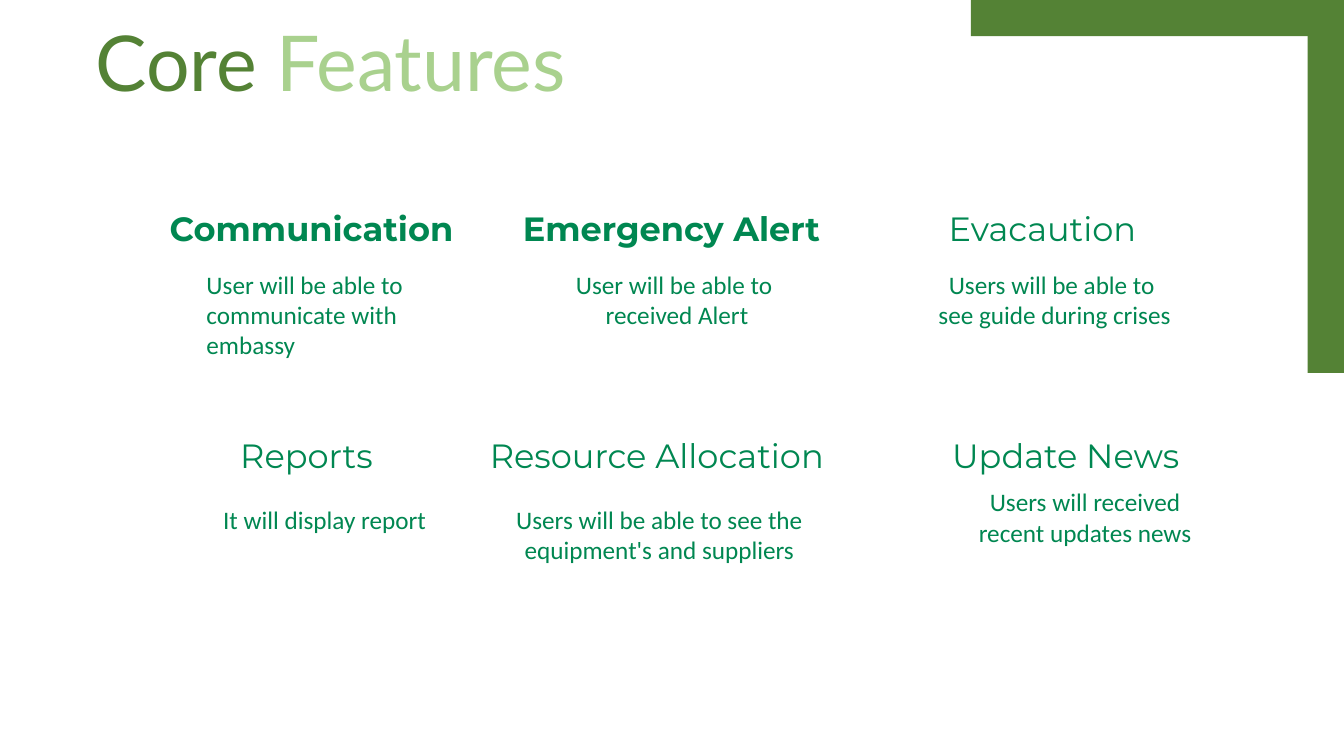
import pptx
import pptx.util
import pptx.dml.color
import pptx.enum.shapes
import pptx.enum.text

Inches = pptx.util.Inches
RGBColor = pptx.dml.color.RGBColor
ALIGN = pptx.enum.text.PP_ALIGN
AUTO_SIZE = pptx.enum.text.MSO_AUTO_SIZE

DARK_GREEN = RGBColor(0x54, 0x82, 0x35)
LIGHT_GREEN = RGBColor(0xA9, 0xD1, 0x8E)
TEXT_GREEN = RGBColor(0x00, 0x87, 0x51)

SLIDE_WIDTH, SLIDE_HEIGHT = 13.33, 7.5
BAR_LENGTH, BAR_THICKNESS = 3.7, 0.36
HEADING_TOPS = [2.06, 4.31]
HEADING_HEIGHT = 0.69
LINE_HEIGHT, VERTICAL_INSETS = 0.305, 0.1

TITLE_BOX = (-0.94, 0.15, 8.44, 0.63)
TITLE_PARTS = [("Core ", DARK_GREEN), ("Features", LIGHT_GREEN)]

FEATURES = [
    {"row": 0, "heading": "Communication", "left": 1.46, "width": 3.26, "bold": True,
     "lines": ["User will be able to", "communicate with", "embassy"],
     "detail": (1.95, 2.62, 2.27), "align": ALIGN.LEFT},
    {"row": 0, "heading": "Emergency Alert", "left": 5.03, "width": 3.26, "bold": True,
     "lines": ["User will be able to ", "received Alert"],
     "detail": (5.58, 2.62, 2.27)},
    {"row": 0, "heading": "Evacaution", "left": 8.71, "width": 3.26,
     "lines": ["Users will be able to ", "see guide during crises"],
     "detail": (9.19, 2.62, 2.54)},
    {"row": 1, "heading": "Reports", "left": 1.41, "width": 3.26,
     "lines": ["It will display report"],
     "detail": (2.09, 4.95, 2.26)},
    {"row": 1, "heading": "Resource Allocation", "left": 4.73, "width": 3.57,
     "lines": ["Users will be able to see the", "equipment's and suppliers"],
     "detail": (4.95, 4.95, 3.18)},
    {"row": 1, "heading": "Update News", "left": 8.94, "width": 3.26,
     "lines": ["Users will received ", "recent updates news "],
     "detail": (9.55, 4.78, 2.48)},
]

TITLE_FONT = {"name": "Lato", "size": pptx.util.Pt(55), "bold": False}
HEADING_FONT = {"name": "Montserrat", "size": pptx.util.Pt(24)}
DETAIL_FONT = {"name": "Calibri", "size": pptx.util.Pt(18)}
TITLE_FRAME = {
    "margin_left": Inches(0.1), "margin_right": Inches(0.1),
    "margin_top": Inches(0.1), "margin_bottom": Inches(0.1),
    "word_wrap": True, "auto_size": AUTO_SIZE.NONE,
    "vertical_anchor": pptx.enum.text.MSO_ANCHOR.TOP,
}
HEADING_FRAME = {"margin_left": 0, "margin_right": 0, "word_wrap": True}
DETAIL_FRAME = {"word_wrap": False, "auto_size": AUTO_SIZE.SHAPE_TO_FIT_TEXT}
TIGHT_CENTER = {"alignment": ALIGN.CENTER, "line_spacing": 0.9}


def apply_format(target, values):
    for name, value in values.items():
        setattr(target, name, value)


def add_run(paragraph, text, font_format, color):
    run = paragraph.add_run()
    run.text = text
    apply_format(run.font, font_format)
    run.font.color.rgb = color


def add_text(slide, box, lines, frame_format, paragraph_format, font_format):
    frame = slide.shapes.add_textbox(*map(Inches, box)).text_frame
    apply_format(frame, frame_format)
    for index, line in enumerate(lines):
        paragraph = frame.add_paragraph() if index else frame.paragraphs[0]
        apply_format(paragraph, paragraph_format)
        add_run(paragraph, line, font_format, TEXT_GREEN)


def add_corner(slide):
    for width, height in [(BAR_LENGTH, BAR_THICKNESS), (BAR_THICKNESS, BAR_LENGTH)]:
        bar = slide.shapes.add_shape(
            pptx.enum.shapes.MSO_SHAPE.RECTANGLE,
            Inches(SLIDE_WIDTH - width), 0, Inches(width), Inches(height))
        bar.shadow.inherit = False
        bar.fill.solid()
        bar.fill.fore_color.rgb = DARK_GREEN
        bar.line.fill.background()


def add_title(slide):
    title = slide.shapes.title
    apply_format(title, dict(zip(("left", "top", "width", "height"), map(Inches, TITLE_BOX))))
    apply_format(title.text_frame, TITLE_FRAME)
    paragraph = title.text_frame.paragraphs[0]
    apply_format(paragraph, TIGHT_CENTER)
    for text, color in TITLE_PARTS:
        add_run(paragraph, text, TITLE_FONT, color)


def add_feature(slide, feature):
    heading_box = (feature["left"], HEADING_TOPS[feature["row"]],
                   feature["width"], HEADING_HEIGHT)
    heading_font = {**HEADING_FONT, "bold": feature.get("bold", False)}
    add_text(slide, heading_box, [feature["heading"]],
             HEADING_FRAME, TIGHT_CENTER, heading_font)
    detail_height = VERTICAL_INSETS + LINE_HEIGHT * len(feature["lines"])
    add_text(slide, (*feature["detail"], detail_height), feature["lines"], DETAIL_FRAME,
             {"alignment": feature.get("align", ALIGN.CENTER)}, DETAIL_FONT)


def main():
    presentation = pptx.Presentation()
    presentation.slide_width = Inches(SLIDE_WIDTH)
    presentation.slide_height = Inches(SLIDE_HEIGHT)
    slide = presentation.slides.add_slide(presentation.slide_layouts.get_by_name("Title Only"))
    add_corner(slide)
    add_title(slide)
    for feature in FEATURES:
        add_feature(slide, feature)
    presentation.save("out.pptx")


if __name__ == "__main__":
    main()
